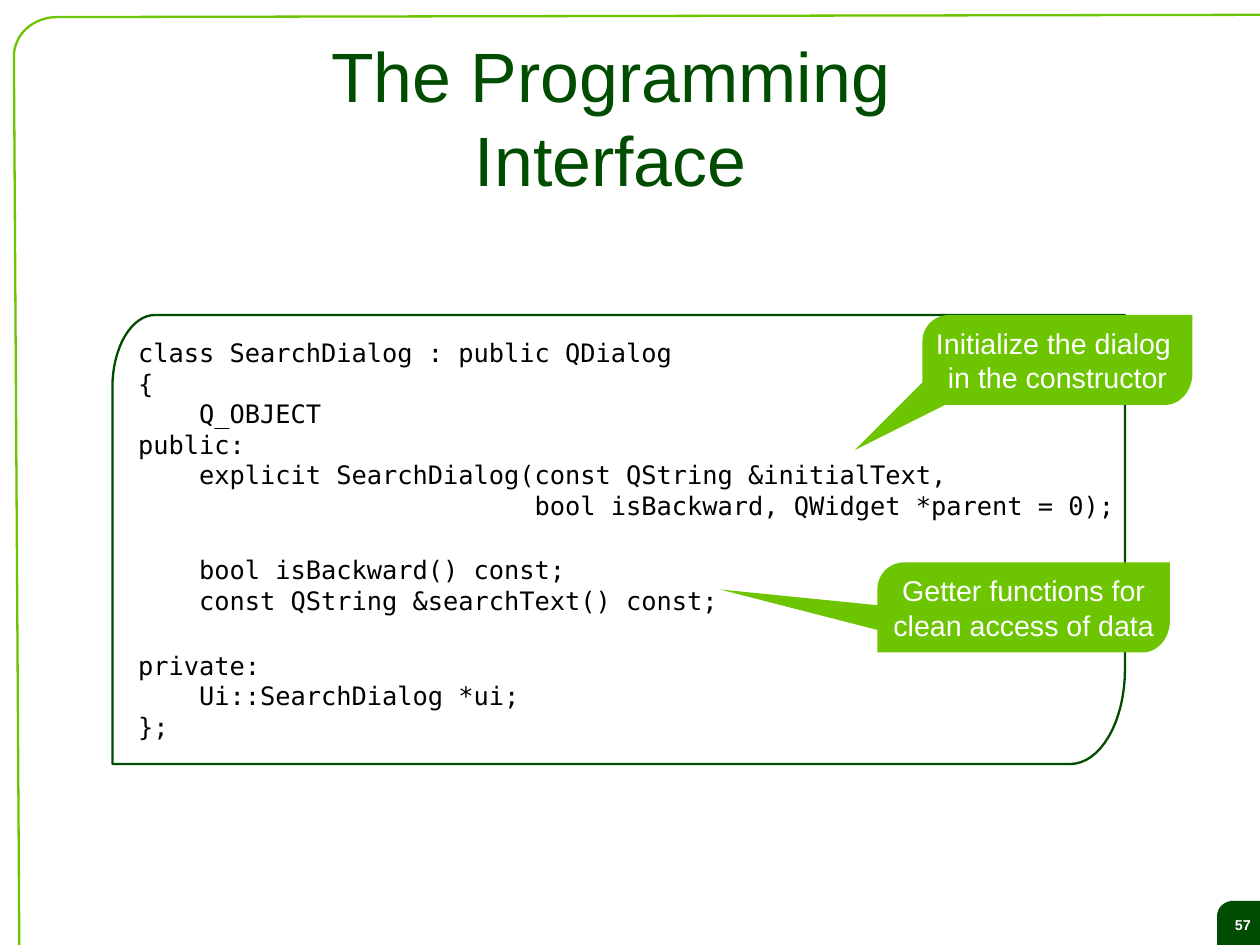
import math
from dataclasses import dataclass
from typing import Optional

import pptx
import pptx.dml.color
import pptx.enum.text
import pptx.util

Cm = pptx.util.Cm
Pt = pptx.util.Pt
Align = pptx.enum.text.PP_ALIGN
Anchor = pptx.enum.text.MSO_ANCHOR
Point = tuple[float, float]

COLORS = {"dark": "004C00", "bright": "6DC400", "white": "FFFFFF", "code": "000000"}
SLIDE_WIDTH, SLIDE_HEIGHT = 28.0, 21.0
LINE_WIDTH = 1.45
CURVE_STEPS = 16
CODE_GAP = 21.6

CODE = """class SearchDialog : public QDialog
{
    Q_OBJECT
public:
    explicit SearchDialog(const QString &initialText,
                          bool isBackward, QWidget *parent = 0);
    bool isBackward() const;
    const QString &searchText() const;
private:
    Ui::SearchDialog *ui;
};"""
CODE_GROUP_STARTS = ("    bool isBackward() const;", "private:")


@dataclass
class TextStyle:
    font: str
    size: float
    color: str
    align: Align
    bold: bool = False


@dataclass
class Leaf:
    left: float
    top: float
    width: float
    height: float
    top_left: Point
    bottom_right: Point
    fill: Optional[str] = None
    line: Optional[str] = None


@dataclass
class Callout:
    body: Leaf
    tail: list[Point]
    text: str


def rgb(name: str) -> pptx.dml.color.RGBColor:
    return pptx.dml.color.RGBColor.from_string(COLORS[name])


def quarter_arc(center: Point, radii: Point, start_angle: int) -> list[Point]:
    angles = [math.radians(start_angle + 90 * step / CURVE_STEPS) for step in range(CURVE_STEPS + 1)]
    return [(center[0] + radii[0] * math.cos(a), center[1] + radii[1] * math.sin(a)) for a in angles]


def draw_outline(slide, points: list[Point], fill: Optional[str] = None,
                 line: Optional[str] = None, close: bool = True):
    corners = [(Cm(x), Cm(y)) for x, y in points]
    builder = slide.shapes.build_freeform(*corners[0])
    builder.add_line_segments(corners[1:], close=close)
    shape = builder.convert_to_shape()
    shape.shadow.inherit = False
    if fill:
        shape.fill.solid()
        shape.fill.fore_color.rgb = rgb(fill)
    else:
        shape.fill.background()
    if line:
        shape.line.color.rgb = rgb(line)
        shape.line.width = Pt(LINE_WIDTH)
    else:
        shape.line.fill.background()
    return shape


def draw_leaf(slide, leaf: Leaf):
    right, bottom = leaf.left + leaf.width, leaf.top + leaf.height
    top_left_center = (leaf.left + leaf.top_left[0], leaf.top + leaf.top_left[1])
    bottom_right_center = (right - leaf.bottom_right[0], bottom - leaf.bottom_right[1])
    points = quarter_arc(top_left_center, leaf.top_left, 180)
    points += [(right, leaf.top)]
    points += quarter_arc(bottom_right_center, leaf.bottom_right, 0)
    points += [(leaf.left, bottom)]
    return draw_outline(slide, points, leaf.fill, leaf.line)


def write_text(shape, text: str, style: TextStyle, margins: Point,
               anchor: Anchor = Anchor.MIDDLE, wrap: bool = True):
    frame = shape.text_frame
    frame.word_wrap = wrap
    frame.vertical_anchor = anchor
    frame.margin_left = frame.margin_right = Cm(margins[0])
    frame.margin_top = frame.margin_bottom = Cm(margins[1])
    frame.text = text
    for paragraph in frame.paragraphs:
        paragraph.alignment = style.align
        for run in paragraph.runs:
            run.font.name = style.font
            run.font.size = Pt(style.size)
            run.font.bold = style.bold
            run.font.color.rgb = rgb(style.color)
    return frame


def add_text_box(slide, left: float, top: float, width: float, height: float):
    return slide.shapes.add_textbox(Cm(left), Cm(top), Cm(width), Cm(height))


def draw_callout(slide, callout: Callout) -> None:
    draw_outline(slide, callout.tail, callout.body.fill)
    body = draw_leaf(slide, callout.body)
    write_text(body, callout.text, TextStyle("Arial", 18, "white", Align.CENTER), (0.28, 0.15))


def draw_page_frame(slide) -> None:
    badge = draw_leaf(slide, Leaf(27.05, 20.02, 1.14, 1.07, (0.36, 0.33), (0.4, 0.4), fill="dark"))
    write_text(badge, "57", TextStyle("Arial", 9, "white", Align.CENTER, True), (0.28, 0.15))
    corner = quarter_arc((1.27, 1.25), (0.96, 0.87), 180)
    frame_points = [(0.43, SLIDE_HEIGHT), *corner, (SLIDE_WIDTH, 0.33)]
    draw_outline(slide, frame_points, line="bright", close=False)


def draw_code(slide) -> None:
    code_box = add_text_box(slide, 2.82, 7.37, 22.2, 8.89)
    style = TextStyle("DejaVu Sans Mono", 16, "code", Align.LEFT)
    frame = write_text(code_box, CODE, style, (0.25, 0.13), Anchor.TOP, wrap=False)
    for paragraph in frame.paragraphs:
        if paragraph.text in CODE_GROUP_STARTS:
            paragraph.space_before = Pt(CODE_GAP)
    draw_leaf(slide, Leaf(2.5, 7, 22.5, 9.98, (0.95, 1.6), (1.22, 2.1), line="dark"))


def main() -> None:
    presentation = pptx.Presentation()
    presentation.slide_width = Cm(SLIDE_WIDTH)
    presentation.slide_height = Cm(SLIDE_HEIGHT)
    slide = presentation.slides.add_slide(presentation.slide_layouts[6])

    draw_page_frame(slide)
    title = add_text_box(slide, 4.47, 0.84, 18.21, 3.5)
    write_text(title, "The Programming Interface", TextStyle("Arial", 44, "dark", Align.CENTER), (0, 0))
    draw_code(slide)

    callout_corners = ((0.59, 0.59), (0.61, 0.71))
    callouts = [
        Callout(Leaf(20.5, 7, 6, 2, *callout_corners, fill="bright"),
                [(20.5, 8.5), (19, 10), (21, 9)],
                "Initialize the dialog \nin the constructor"),
        Callout(Leaf(19.5, 12.5, 6.5, 2, *callout_corners, fill="bright"),
                [(20, 13.5), (16, 13.1), (19.5, 14)],
                "Getter functions for\nclean access of data"),
    ]
    for callout in callouts:
        draw_callout(slide, callout)

    presentation.save("out.pptx")


if __name__ == "__main__":
    main()
